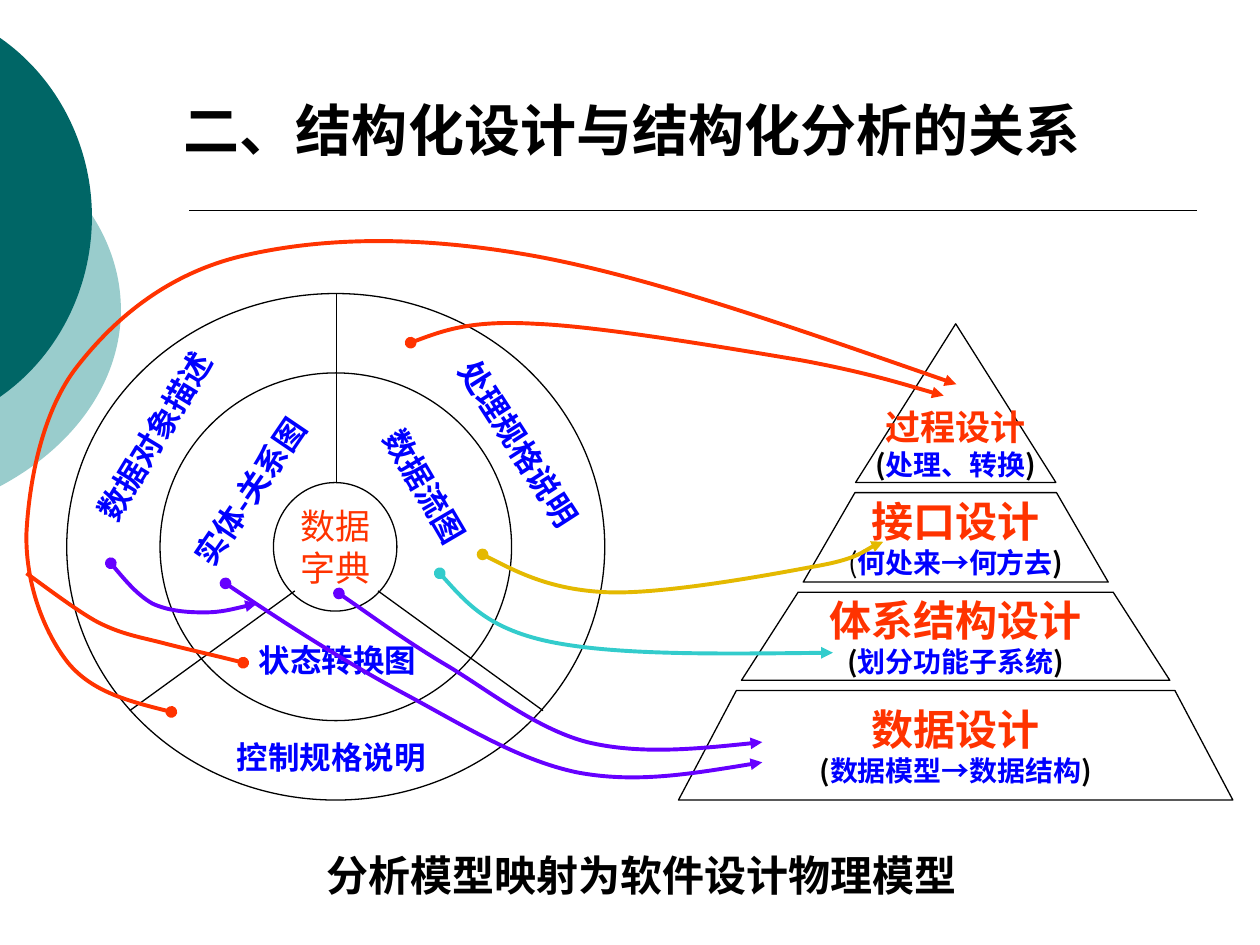
from dataclasses import dataclass

from lxml.etree import SubElement
from pptx import Presentation
from pptx.dml.color import RGBColor
from pptx.enum.shapes import MSO_CONNECTOR, MSO_SHAPE
from pptx.enum.text import MSO_ANCHOR, MSO_AUTO_SIZE, PP_ALIGN
from pptx.oxml.ns import qn
from pptx.util import Cm, Pt


@dataclass(frozen=True)
class Theme:
    black: str = "000000"
    red: str = "FF3300"
    blue: str = "0000FF"
    gold: str = "E4B900"
    cyan: str = "33CCCC"
    violet: str = "6600FF"
    teal: str = "006666"
    pale_teal: str = "99CCCC"
    font: str = "Noto Sans CJK SC"
    footer_font: str = "Roboto"
    title_size: int = 32
    heading_size: int = 24
    core_size: int = 20
    label_size: int = 18
    detail_size: int = 16
    outline: float = 0.75
    rule: float = 1
    flow: float = 2.25
    line_height: float = 1.2


def grid(value):
    """Turn a position on the inch grid of the slide into a length."""
    return Cm(value * 2.54)


class SlideBuilder:
    def __init__(self, slide, theme):
        self.slide = slide
        self.theme = theme

    def style_paragraph(self, paragraph, size, color, bold=True, font=None, align=PP_ALIGN.CENTER):
        paragraph.alignment = align
        paragraph.line_spacing = Pt(size * self.theme.line_height)
        paragraph.space_before = Pt(0)
        paragraph.font.size = Pt(size)
        paragraph.font.bold = bold
        paragraph.font.name = font or self.theme.font
        if color:
            paragraph.font.color.rgb = RGBColor.from_string(color)
        defaults = paragraph._p.pPr.find(qn("a:defRPr"))
        SubElement(defaults, qn("a:ea")).set("typeface", self.theme.font)

    def prepare_frame(self, frame):
        frame.margin_left = frame.margin_top = frame.margin_right = frame.margin_bottom = 0
        frame.vertical_anchor = MSO_ANCHOR.MIDDLE
        frame.auto_size = MSO_AUTO_SIZE.NONE
        frame.word_wrap = False
        return frame

    def title(self, text, left, top, width, height):
        title = self.slide.shapes.title
        title.left, title.top, title.width, title.height = map(grid, (left, top, width, height))
        paragraph = self.prepare_frame(title.text_frame).paragraphs[0]
        paragraph.text = text
        self.style_paragraph(paragraph, self.theme.title_size, self.theme.black, align=PP_ALIGN.LEFT)

    def label(self, text, left, top, width, height=0.3, rotation=0, size=None, color=None, font=None):
        box = self.slide.shapes.add_textbox(*map(grid, (left, top, width, height)))
        box.rotation = rotation
        paragraph = self.prepare_frame(box.text_frame).paragraphs[0]
        paragraph.text = text
        self.style_paragraph(
            paragraph, size or self.theme.label_size, color or self.theme.blue, font=font
        )

    def outline(self, shape):
        shape.shadow.inherit = False
        shape.fill.background()
        shape.line.color.rgb = RGBColor.from_string(self.theme.black)
        shape.line.width = Pt(self.theme.outline)
        return shape

    def preset(self, kind, left, top, width, height):
        return self.outline(
            self.slide.shapes.add_shape(kind, *map(grid, (left, top, width, height)))
        )

    def line(self, start, end, width):
        connector = self.slide.shapes.add_connector(
            MSO_CONNECTOR.STRAIGHT, *map(grid, (*start, *end))
        )
        connector.line.color.rgb = RGBColor.from_string(self.theme.black)
        connector.line.width = Pt(width)
        SubElement(connector._element.spPr, qn("a:effectLst"))

    def polygon(self, points, close=True):
        places = [(grid(x), grid(y)) for x, y in points]
        builder = self.slide.shapes.build_freeform(*places[0])
        builder.add_line_segments(places[1:], close=close)
        shape = builder.convert_to_shape()
        shape.shadow.inherit = False
        return shape

    def curve(self, points, close=False):
        """Draw a start point followed by Bezier triples: two controls and an end."""
        shape = self.polygon(points, close)
        segments = shape._element.findall(".//" + qn("a:lnTo"))
        for index in range(0, len(segments), 3):
            first, *others = segments[index:index + 3]
            first.tag = qn("a:cubicBezTo")
            for segment in others:
                first.append(segment[0])
                segment.getparent().remove(segment)
        return shape

    def backdrop(self, points, color):
        shape = self.curve(points, close=True)
        shape.fill.solid()
        shape.fill.fore_color.rgb = RGBColor.from_string(color)
        shape.line.fill.background()

    def flow(self, points, color, arrow=True):
        shape = self.curve(points)
        shape.fill.background()
        shape.line.color.rgb = RGBColor.from_string(color)
        shape.line.width = Pt(self.theme.flow)
        line = shape.line._get_or_add_ln()
        SubElement(line, qn("a:headEnd")).set("type", "oval")
        if arrow:
            SubElement(line, qn("a:tailEnd")).set("type", "triangle")

    def core_text(self, shape, lines):
        frame = self.prepare_frame(shape.text_frame)
        for index, text in enumerate(lines):
            paragraph = frame.add_paragraph() if index else frame.paragraphs[0]
            paragraph.text = text
            self.style_paragraph(paragraph, self.theme.core_size, self.theme.red, bold=False)

    def tier_text(self, shape, heading, detail, size):
        """Write a heading and, below it, a detail in black brackets."""
        frame = self.prepare_frame(shape.text_frame)
        paragraph = frame.paragraphs[0]
        paragraph.text = heading
        self.style_paragraph(paragraph, size, self.theme.red)
        paragraph = frame.add_paragraph()
        self.style_paragraph(paragraph, self.theme.detail_size, None)
        black, blue = self.theme.black, self.theme.blue
        for text, color in (("(", black), (detail, blue), (")", black)):
            run = paragraph.add_run()
            run.text = text
            run.font.color.rgb = RGBColor.from_string(color)
        return paragraph


def add_pyramid(builder, theme):
    center = 7.585
    tiers = [
        ("数据设计", "数据模型→数据结构", 5.48, 6.35, 1.74, 2.2),
        ("体系结构设计", "划分功能子系统", 4.7, 5.4, 1.25, 1.7),
        ("接口设计", "何处来→何方去", 3.91, 4.62, 0.8, 1.21),
    ]
    for heading, detail, top, bottom, half_top, half_bottom in tiers:
        tier = builder.outline(builder.polygon([
            (center - half_top, top), (center + half_top, top),
            (center + half_bottom, bottom), (center - half_bottom, bottom),
        ]))
        paragraph = builder.tier_text(tier, heading, detail, theme.heading_size)
    paragraph.runs[0].font.bold = False
    peak = builder.preset(MSO_SHAPE.ISOSCELES_TRIANGLE, 6.79, 2.57, 1.59, 1.26)
    builder.tier_text(peak, "过程设计", "处理、转换", theme.core_size)


def add_rings(builder, theme):
    for place in ((0.53, 2.33, 4.27, 4.02), (1.27, 2.96, 2.79, 2.76), (2.17, 3.83, 0.98, 1.02)):
        ring = builder.preset(MSO_SHAPE.FLOWCHART_CONNECTOR, *place)
    builder.core_text(ring, ["数据", "字典"])
    for text, left, top, width, rotation in (
        ("实体-关系图", 1.16, 3.75, 1.65, 304.2),
        ("数据流图", 2.82, 3.71, 1.11, 59.6),
        ("状态转换图", 2.01, 5.09, 1.34, 0),
        ("数据对象描述", 0.44, 3.31, 1.57, 301.1),
        ("处理规格说明", 3.26, 3.37, 1.72, 57.3),
        ("控制规格说明", 1.84, 5.86, 1.58, 0),
    ):
        builder.label(text, left, top, width, rotation=rotation)
    center = 2.67
    builder.line((center, 2.33), (center, 3.83), theme.outline)
    for side in (-1, 1):
        builder.line((center + side * 0.33, 4.69), (center + side * 1.64, 5.64), theme.outline)


def add_flows(builder, theme):
    builder.flow([(3.26, 2.72), (3.5, 2.63), (3.74, 2.54), (4.25, 2.57), (4.77, 2.59),
                  (5.82, 2.77), (6.36, 2.86), (6.9, 2.96), (7.3, 3.09), (7.49, 3.14)], theme.red)
    builder.flow([(1.36, 5.65), (1.04, 5.57), (0.73, 5.49), (0.54, 5.26), (0.35, 5.02),
                  (0.2, 4.63), (0.21, 4.23), (0.23, 3.84), (0.33, 3.26), (0.62, 2.9),
                  (0.91, 2.53), (1.33, 2.17), (1.93, 2.03), (2.53, 1.89), (3.28, 1.86),
                  (4.23, 2.03), (5.17, 2.2), (6.38, 2.63), (7.59, 3.05)], theme.red)
    builder.flow([(1.93, 5.26), (1.7, 5.2), (1.47, 5.15), (1.28, 5.1), (1.08, 5.05),
                  (0.96, 5.03), (0.78, 4.94), (0.61, 4.85), (0.31, 4.62), (0.21, 4.55)],
                 theme.red, arrow=False)
    builder.flow([(3.83, 4.4), (4.1, 4.54), (4.38, 4.68), (4.81, 4.7), (5.24, 4.72),
                  (6.07, 4.57), (6.44, 4.5), (6.8, 4.44), (6.91, 4.33), (7.01, 4.3)], theme.gold)
    builder.flow([(3.49, 4.55), (3.69, 4.77), (3.88, 5), (4.4, 5.1),
                  (4.92, 5.2), (5.76, 5.19), (6.61, 5.18)], theme.cyan)
    builder.flow([(2.69, 4.71), (2.94, 4.88), (3.18, 5.06), (3.51, 5.26), (3.84, 5.45),
                  (4.24, 5.78), (4.66, 5.89), (5.08, 5.99), (5.57, 5.94), (6.05, 5.89)],
                 theme.violet)
    builder.flow([(1.79, 4.63), (2.25, 4.94), (2.72, 5.24), (3.18, 5.49), (3.65, 5.74),
                  (4.1, 6.03), (4.58, 6.13), (5.05, 6.22), (5.55, 6.13), (6.05, 6.05)],
                 theme.violet)
    builder.flow([(0.88, 4.47), (0.99, 4.6), (1.09, 4.72), (1.21, 4.79), (1.34, 4.85),
                  (1.49, 4.86), (1.62, 4.86), (1.76, 4.86), (1.9, 4.82), (2.04, 4.79)],
                 theme.violet)


def main():
    theme = Theme()
    presentation = Presentation()
    presentation.slide_width, presentation.slide_height = grid(10), grid(7.5)
    slide = presentation.slides.add_slide(presentation.slide_layouts[5])
    builder = SlideBuilder(slide, theme)
    builder.backdrop([(0, 1.06), (0.6, 1.38), (0.96, 1.9), (0.96, 2.46),
                      (0.96, 3.02), (0.6, 3.54), (0, 3.86)], theme.pale_teal)
    builder.backdrop([(0, 0.3), (0.46, 0.62), (0.73, 1.16), (0.73, 1.72),
                      (0.73, 2.29), (0.46, 2.83), (0, 3.15)], theme.teal)
    builder.line((1.5, 1.67), (9.5, 1.67), theme.rule)
    builder.title("二、结构化设计与结构化分析的关系", 1.46, 0.76, 7.24, 0.53)
    add_pyramid(builder, theme)
    add_rings(builder, theme)
    add_flows(builder, theme)
    builder.label("分析模型映射为软件设计物理模型", 2.56, 6.74, 5.06, 0.4,
                  size=theme.heading_size, color=theme.black, font=theme.footer_font)
    presentation.save("out.pptx")


if __name__ == "__main__":
    main()
